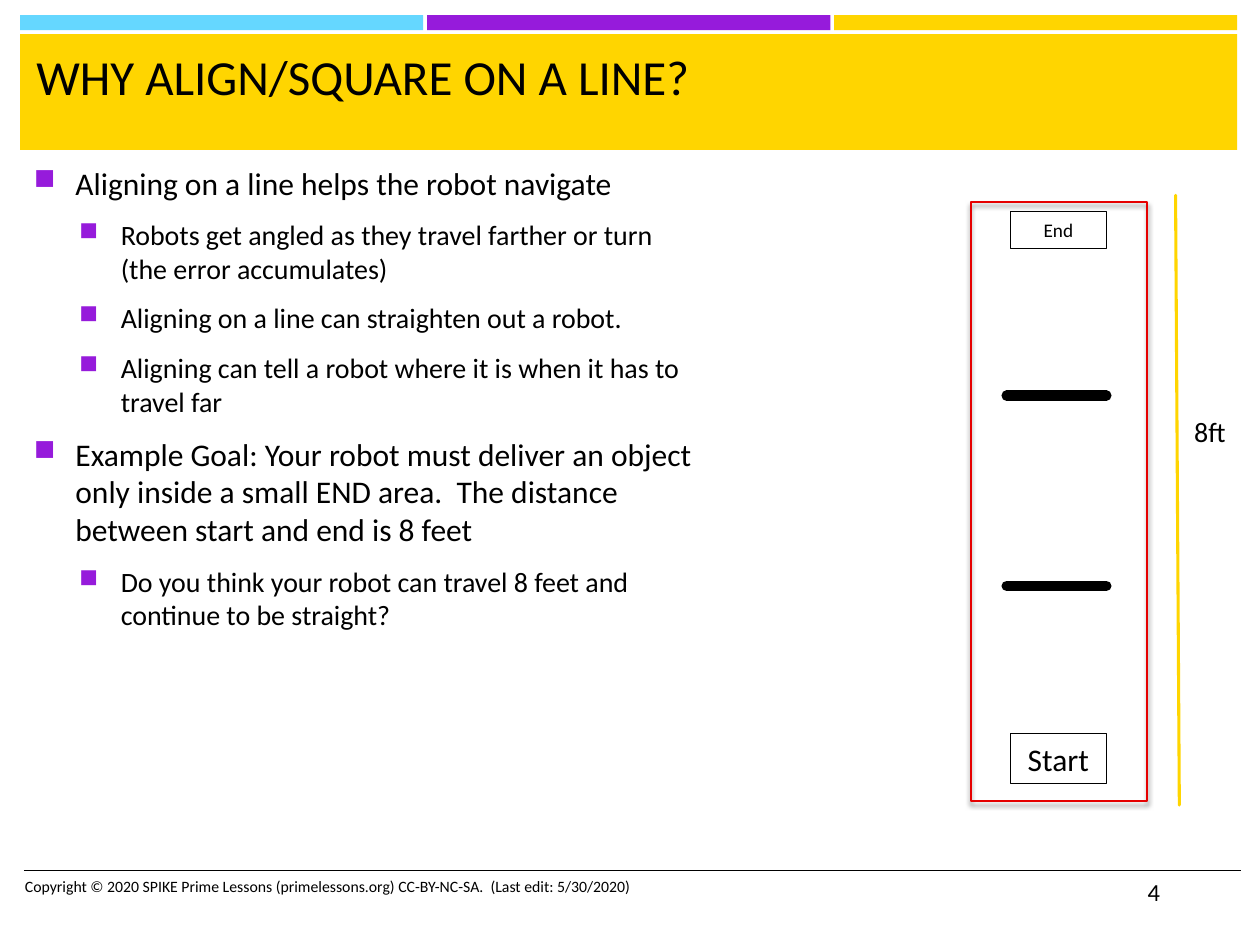
from lxml.etree import SubElement
from pptx import Presentation
from pptx.dml.color import RGBColor as Color
from pptx.enum.shapes import MSO_CONNECTOR as Connector, MSO_SHAPE as Shape
from pptx.enum.text import MSO_ANCHOR as Anchor, PP_ALIGN as Align
from pptx.oxml import parse_xml
from pptx.oxml.ns import nsdecls, qn
from pptx.util import Inches, Pt

COLORS = {"cyan": "65D7FF", "purple": "961BDB", "yellow": "FFD500",
          "red": "E60000", "black": "000000"}
COLORS = {name: Color.from_string(value) for name, value in COLORS.items()}

presentation = Presentation()
presentation.slide_width, presentation.slide_height = Inches(10), Inches(7.5)
slide = presentation.slides.add_slide(presentation.slide_layouts[6])
shapes = slide.shapes


def area(left, top, width, height):
    """Turn percentages of the slide's width and height into lengths."""
    across, down = presentation.slide_width / 100, presentation.slide_height / 100
    return [round(value) for value in
            (left * across, top * down, width * across, height * down)]


def style_text(paragraph, text, size):
    paragraph.text = text
    font = paragraph.runs[0].font
    font.name, font.size = "Calibri", Pt(size)
    font.color.rgb = COLORS["black"]


# Colour bars in three columns, and the title band below
bars = [(1.6 + 32.3 * column, 1.6, 32, 1.6, name)
        for column, name in enumerate(("cyan", "purple", "yellow"))]
for *place, name in bars + [(1.6, 3.6, 96.6, 12.27, "yellow")]:
    bar = shapes.add_shape(Shape.RECTANGLE, *area(*place))
    bar.shadow.inherit = False
    bar.fill.solid()
    bar.fill.fore_color.rgb = COLORS[name]
    bar.line.fill.background()

# Title, footer and distance label
for text, size, wrap, place in (
    ("WHY ALIGN/SQUARE ON A LINE?", 28, True, (1.9, 4.27, 95.7, 10.93)),
    ("Copyright © 2020 SPIKE Prime Lessons (primelessons.org) CC-BY-NC-SA.  "
     "(Last edit: 5/30/2020)", 9, True, (1, 92.13, 53.3, 5.33)),
    ("4", 14, True, (90.1, 92.13, 8.4, 5.33)),
    ("8ft", 16, False, (93.8, 43.2, 5, 4.93)),
):
    text_box = shapes.add_textbox(*area(*place))
    text_box.text_frame.word_wrap = wrap
    style_text(text_box.text_frame.paragraphs[0], text, size)

# Bulleted body
bullets = [
    (0, "Aligning on a line helps the robot navigate"),
    (1, "Robots get angled as they travel farther or turn (the error accumulates)"),
    (1, "Aligning on a line can straighten out a robot."),
    (1, "Aligning can tell a robot where it is when it has to travel far"),
    (0, "Example Goal: Your robot must deliver an object only inside a small END "
        "area.  The distance between start and end is 8 feet"),
    (1, "Do you think your robot can travel 8 feet and continue to be straight?"),
]
body = shapes.add_textbox(*area(1.7, 16.67, 54.9, 74.13)).text_frame
body.word_wrap = True
for index, (level, text) in enumerate(bullets):
    paragraph = body.add_paragraph() if index else body.paragraphs[0]
    size = 16 if level else 18
    paragraph.level = level
    paragraph.space_before = Pt(size * 0.2 if index else 0)
    paragraph.space_after = Pt(6)
    properties = paragraph._p.get_or_add_pPr()
    properties.set("marL", str(Inches(0.33 + 0.36 * level)))
    properties.set("indent", str(Inches(-0.33)))
    bullet_color = SubElement(properties, qn("a:buClr"))
    SubElement(bullet_color, qn("a:srgbClr"), val=str(COLORS["purple"]))
    SubElement(properties, qn("a:buSzPct"), val="92000")
    SubElement(properties, qn("a:buChar"), char="■")
    style_text(paragraph, text, size)

# Field outline, lying on its side and turned upright
field = shapes.add_shape(Shape.RECTANGLE, *area(60.3, 43.73, 47.5, 18.67))
field.rotation = 270
field.fill.background()
field.line.color.rgb = COLORS["red"]
field.line.width = Pt(1)
field._element.spPr.append(parse_xml(
    f'<a:effectLst {nsdecls("a")}><a:outerShdw blurRad="{Pt(3)}" dist="{Pt(2)}" '
    f'dir="5400000" rotWithShape="0"><a:srgbClr val="{COLORS["black"]}">'
    '<a:alpha val="55000"/></a:srgbClr></a:outerShdw></a:effectLst>'))

# End and start areas
for text, size, top, height in (("End", 11, 22.4, 3.87), ("Start", 18, 77.6, 5.33)):
    zone = shapes.add_shape(Shape.RECTANGLE, *area(80.2, top, 7.6, height))
    zone.shadow.inherit = False
    zone.fill.background()
    zone.line.color.rgb = COLORS["black"]
    zone.line.width = Pt(0.75)
    zone.text_frame.word_wrap = True
    zone.text_frame.vertical_anchor = Anchor.MIDDLE
    paragraph = zone.text_frame.paragraphs[0]
    paragraph.alignment = Align.CENTER
    style_text(paragraph, text, size)

# Footer rule, two field lines and the distance line
for name, width, cap, ends in (
    ("black", 1, "flat", (1.9, 92.13, 98.5, 92.13)),
    ("black", 6, "rnd", (87.8, 41.87, 79.9, 41.87)),
    ("black", 6, "rnd", (87.8, 62, 79.9, 62)),
    ("yellow", 1.75, "rnd", (93.6, 85.2, 93.3, 20.67)),
):
    connector = shapes.add_connector(Connector.STRAIGHT, *area(*ends))
    connector.line.color.rgb = COLORS[name]
    connector.line.width = Pt(width)
    connector.line._get_or_add_ln().set("cap", cap)
    SubElement(connector._element.spPr, qn("a:effectLst"))

presentation.save("out.pptx")
